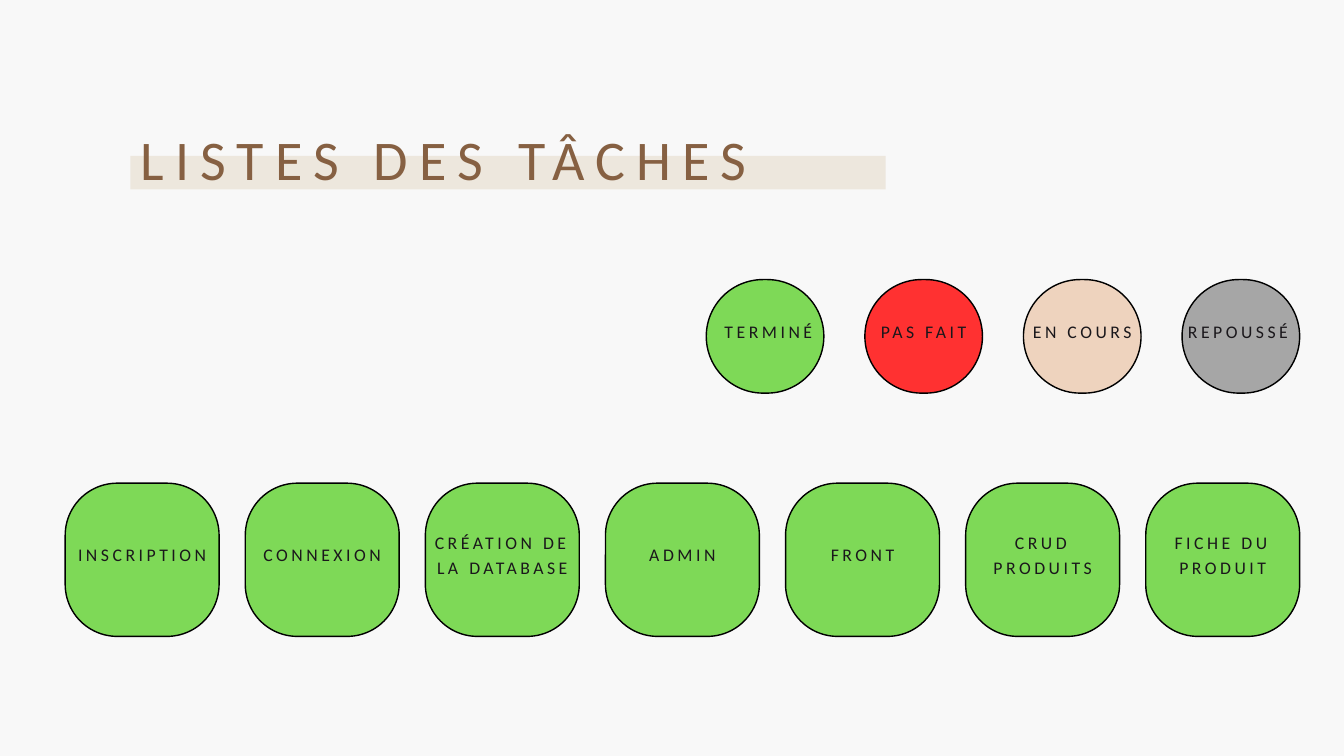
from lxml import etree
from pptx import Presentation
from pptx.dml.color import RGBColor
from pptx.enum import shapes, text
from pptx.util import Inches, Pt

# Content
TITLE = "LISTES DES TÂCHES"
STATUSES = [  # label, status colour, alignment
    ("TERMINÉ ", "done", "right"),
    ("PAS FAIT", "todo", "center"),
    ("EN COURS", "doing", "center"),
    ("REPOUSSÉ ", "postponed", "right"),
]
TASKS = [(name, "done", "center") for name in (
    "INSCRIPTION", "CONNEXION", "CRÉATION DE LA DATABASE", "ADMIN",
    "FRONT", "CRUD PRODUITS", "FICHE DU PRODUIT")]

# Theme: colours, and type as size, line pitch, letter spacing in points
THEME = {
    "font": "Calibri", "bg": "F8F8F8", "band": "EDE7DD",
    "title": "866042", "ink": "1A171B", "line": "000000",
    "done": "7ED957", "todo": "FF3131", "doing": "EED3BE", "postponed": "A6A6A6",
    "title_type": (60, 84, 12), "label_type": (19, 26.6, 3.8),
}
ALIGN = {"left": text.PP_ALIGN.LEFT, "center": text.PP_ALIGN.CENTER,
         "right": text.PP_ALIGN.RIGHT}

# Rows: left, right, top, card width, card height, corner ratio
STATUS_ROW = (10.51, 19.34, 4.16, 1.75, 1.69, 0.5)
TASK_ROW = (0.97, 19.34, 7.19, 2.29, 2.28, 0.34)
LABEL_RISE = 0.2


def rgb(name):
    return RGBColor.from_string(THEME[name])


def write(sp, words, style, color, align, anchor, inset):
    tf = sp.text_frame
    tf.text = words
    tf.word_wrap = True
    tf.auto_size = text.MSO_AUTO_SIZE.NONE
    tf.vertical_anchor = anchor
    tf.margin_left = tf.margin_right = tf.margin_top = tf.margin_bottom = Inches(inset)
    size, pitch, spacing = THEME[style]
    p = tf.paragraphs[0]
    p.alignment = ALIGN[align]
    p.line_spacing = Pt(pitch)
    p.space_before = Pt(0)
    r = p.runs[0]
    r.font.name = THEME["font"]
    r.font.size = Pt(size)
    r.font.color.rgb = rgb(color)
    etree.SubElement
    r.font._element.set("spc", str(round(spacing * 100)))


def add_box(parent, kind, x, y, w, h, fill):
    sp = parent.add_shape(kind, Inches(x), Inches(y), Inches(w), Inches(h))
    sp.shadow.inherit = False
    sp.fill.solid()
    sp.fill.fore_color.rgb = rgb(fill)
    return sp


def add_row(slide, cards, row):
    left, right, top, w, h, corner = row
    step = (right - left - w) / (len(cards) - 1)
    for i, (label, fill, align) in enumerate(cards):
        x = left + i * step
        group = slide.shapes.add_group_shape().shapes
        card = add_box(group, shapes.MSO_SHAPE.ROUNDED_RECTANGLE, x, top, w, h, fill)
        card.adjustments[0] = corner
        card.line.color.rgb = rgb("line")
        card.line.width = Pt(1.5)
        box = group.add_textbox(Inches(x), Inches(top - LABEL_RISE),
                                Inches(w), Inches(h + LABEL_RISE))
        write(box, label, "label_type", "ink", align, text.MSO_ANCHOR.MIDDLE, 0.06)


def main():
    prs = Presentation()
    prs.slide_width, prs.slide_height = Inches(20), Inches(11.25)
    slide = prs.slides.add_slide(prs.slide_layouts[5])
    slide.background.fill.solid()
    slide.background.fill.fore_color.rgb = rgb("bg")

    # Highlight band behind the title
    band = add_box(slide.shapes, shapes.MSO_SHAPE.RECTANGLE,
                   1.94, 2.32, 11.24, 0.5, "band")
    band.line.fill.background()

    # Status legend and task cards
    add_row(slide, STATUSES, STATUS_ROW)
    add_row(slide, TASKS, TASK_ROW)

    # Title, brought in front of the band
    title = slide.shapes.title
    title.left, title.top = Inches(2.09), Inches(1.68)
    title.width, title.height = Inches(10.45), Inches(1.14)
    write(title, TITLE, "title_type", "title", "left", text.MSO_ANCHOR.TOP, 0)
    slide.shapes._spTree.append(title._element)

    prs.save("out.pptx")


if __name__ == "__main__":
    main()
